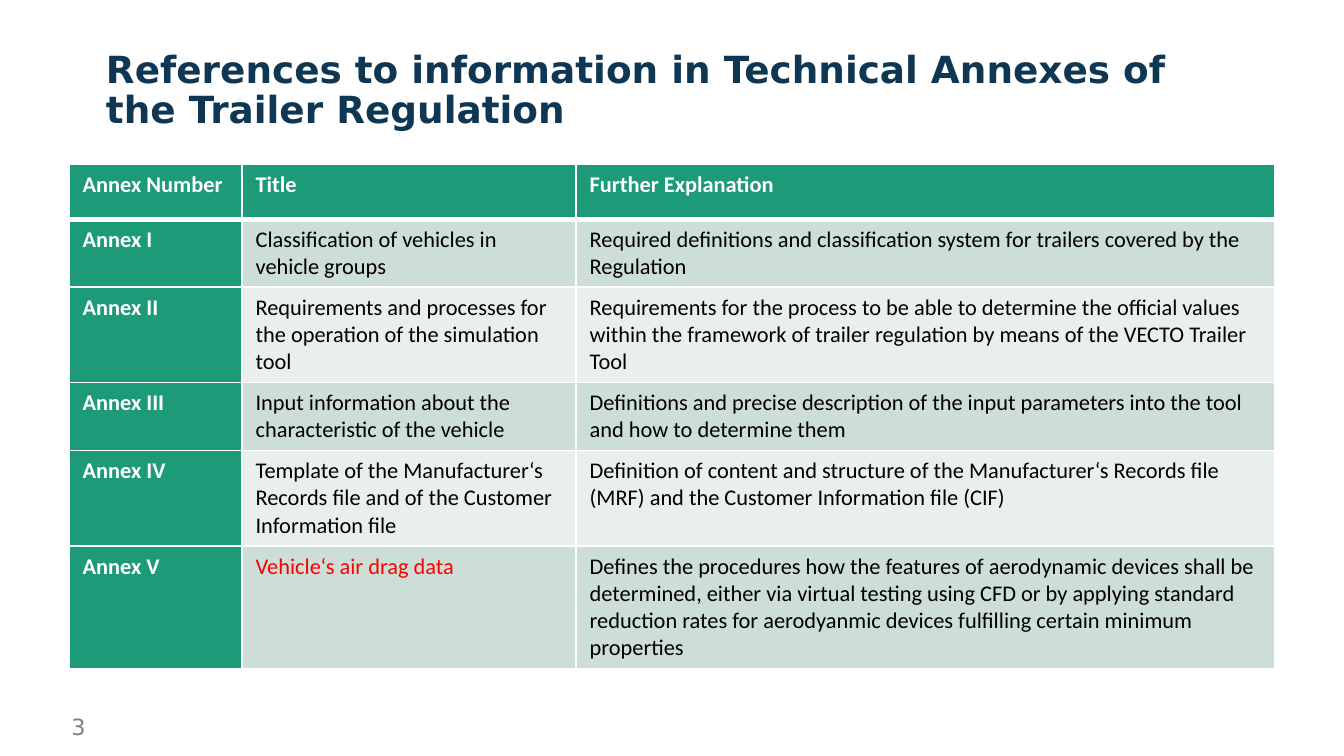
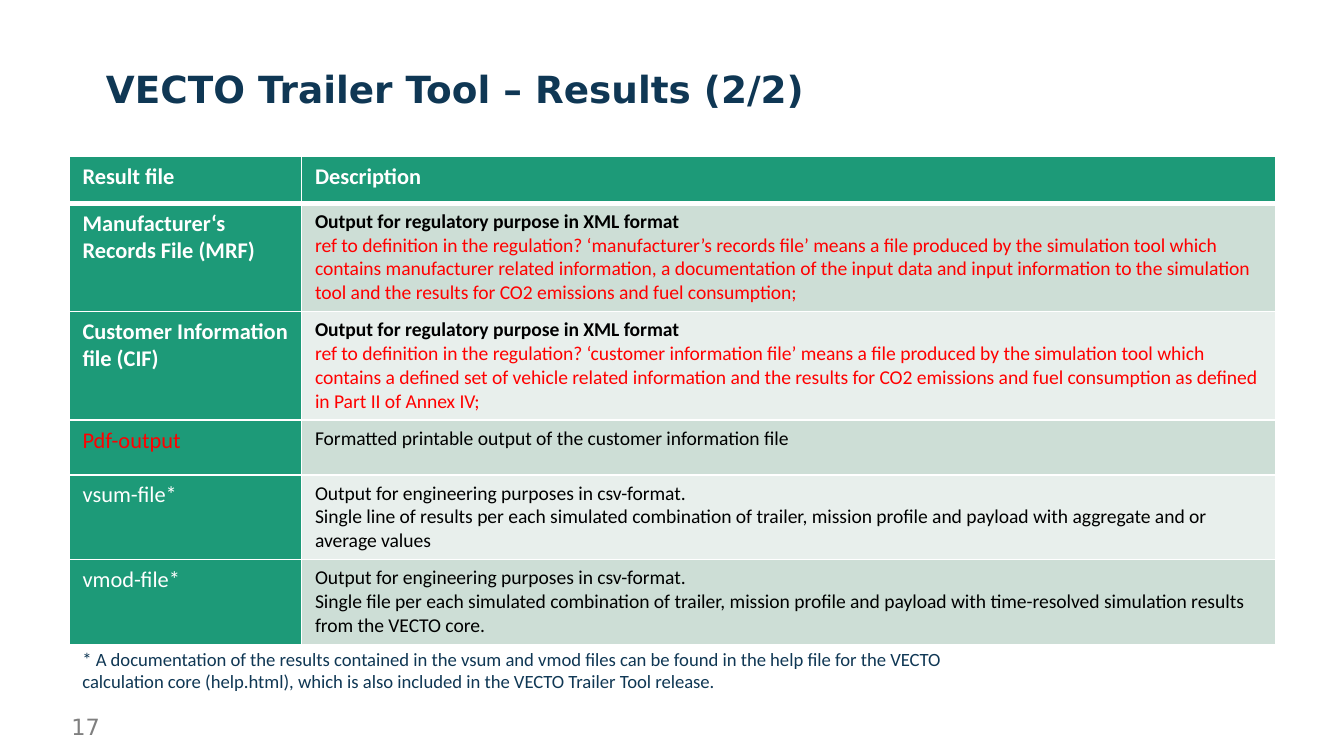
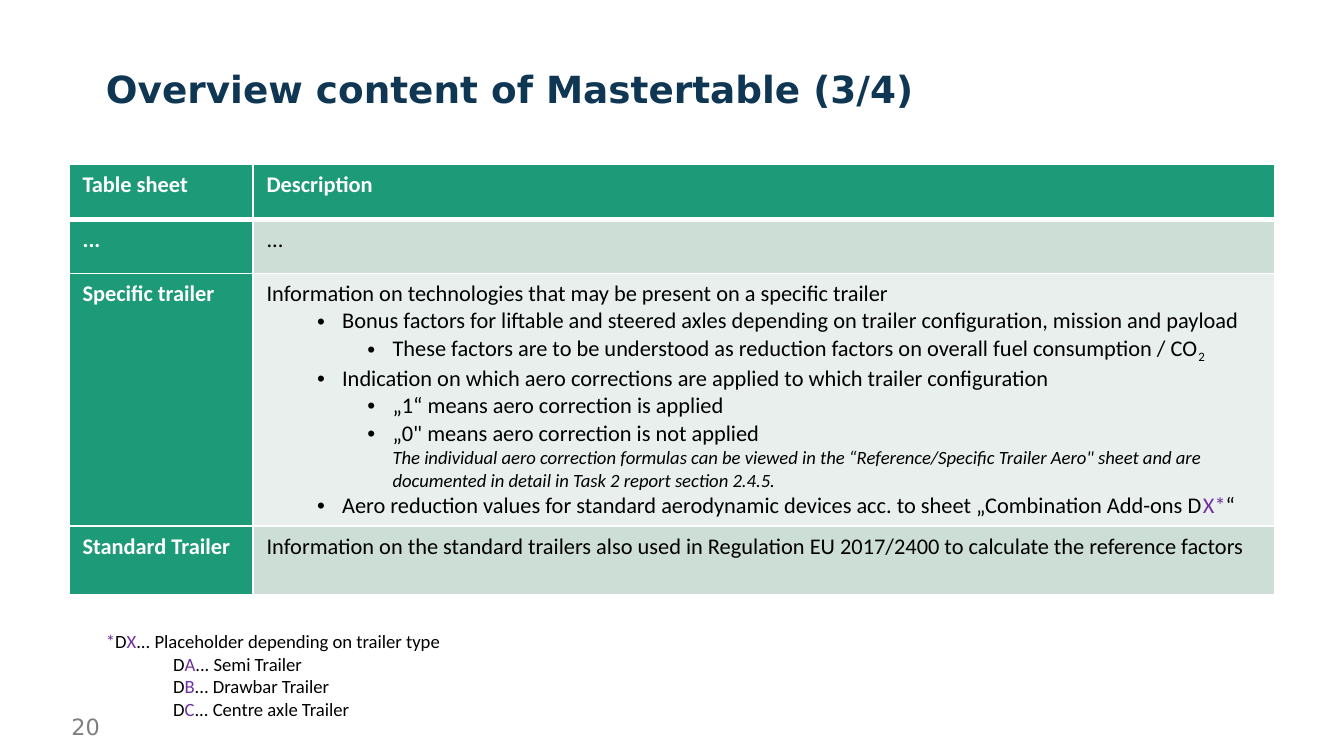
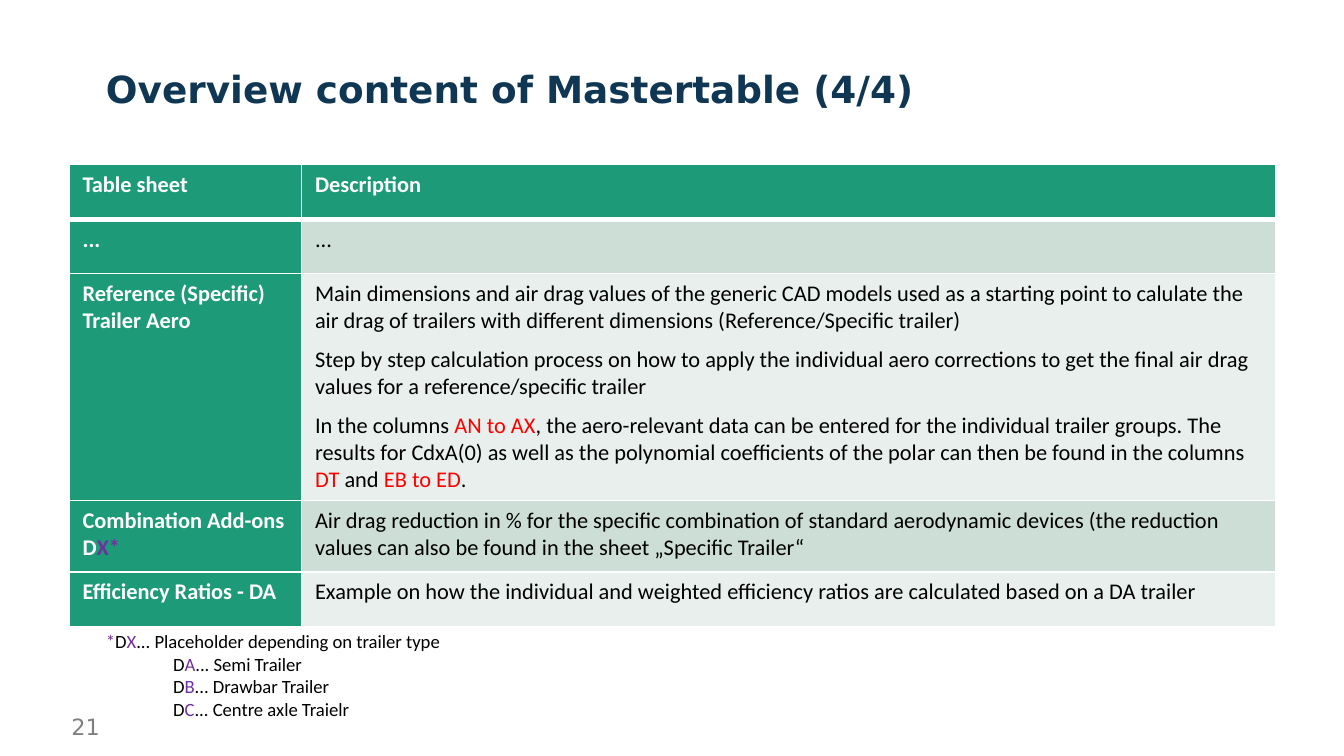
from copy import deepcopy
from collections import namedtuple
from lxml.etree import SubElement
from pptx import Presentation
from pptx.dml.color import RGBColor as Rgb
from pptx.enum.text import MSO_ANCHOR as Anchor, MSO_AUTO_SIZE as Auto
from pptx.oxml.ns import qn
from pptx.util import Emu, Inches, Pt

WIDE = Inches(10)
HIGH = Emu(WIDE * 9 // 16)
UNIT = WIDE / 100

NAVY = Rgb(0x0F, 0x37, 0x54)
GREEN = Rgb(0x1D, 0x9A, 0x78)
MINT = Rgb(0xCD, 0xDE, 0xD6)
PALE = Rgb(0xE8, 0xEF, 0xEC)
GREY = Rgb(0x7F, 0x7F, 0x7F)
RED = Rgb(0xFF, 0x00, 0x00)
PLUM = Rgb(0x70, 0x30, 0xA0)
BLACK = Rgb(0x00, 0x00, 0x00)
WHITE = Rgb(0xFF, 0xFF, 0xFF)

HEAD = "DejaVu Sans"
BODY = "Calibri"

Box = namedtuple("Box", "x y w h")
Para = namedtuple("Para", "runs level gap", defaults=(0, 0))

TITLE = Box(6.9, 1.35, 86.2, 10.9)
NUMBER = Box(4.34, 52.54, 23.3, 3)
GRID = Box(5.14, 12.24, 89.75, 0)
NOTE = Box(6.9, 46.4, 27.2, 7.7)
ROW = 4.06
TAB = 5


def grid(count):
    return Emu(int(count * UNIT))


def red(text):
    return text, {"color": RED}


def plum(text):
    return text, {"color": PLUM}


def plain(text, **form):
    return text, {"bold": False, **form}


def style(run, font=BODY, size=12, color=BLACK, bold=False, italic=False, base=0):
    face = run.font
    face.name, face.size = font, Pt(size)
    face.bold, face.italic = bold, italic
    face.color.rgb = color
    if base:
        run._r.get_or_add_rPr().set("baseline", str(base * 1000))


def indent(para, level):
    para.level = level
    props = para._p.get_or_add_pPr()
    props.set("marL", str(grid(1.87 + 3.75 * level)))
    props.set("indent", str(-grid(1.87)))
    SubElement(props, qn("a:buFont"), typeface="Arial")
    SubElement(props, qn("a:buChar"), char="•")


def add_tab(para):
    stops = SubElement(para._p.get_or_add_pPr(), qn("a:tabLst"))
    SubElement(stops, qn("a:tab"), pos=str(grid(TAB)), algn="l")


def write(frame, text, space=None, **form):
    paras = text if isinstance(text, list) else [text]
    for index, item in enumerate(paras):
        item = item if isinstance(item, Para) else Para([item])
        para = frame.paragraphs[0] if index == 0 else frame.add_paragraph()
        if item.level:
            indent(para, item.level)
        if item.gap:
            para.space_before = Pt(item.gap)
        if space:
            para.line_spacing = space
        for part in item.runs:
            words, extra = part if isinstance(part, tuple) else (part, {})
            if words.startswith("\t"):
                add_tab(para)
            for turn, line in enumerate(words.split("\n")):
                if turn:
                    para.add_line_break()
                    para._p[-1].insert(0, deepcopy(run._r.rPr))
                if line:
                    run = para.add_run()
                    run.text = line
                    style(run, **{**form, **extra})


def text_box(slide, box, text, anchor=Anchor.TOP, wrap=True, grow=False, flat=False, **form):
    frame = slide.shapes.add_textbox(*map(grid, box)).text_frame
    frame.word_wrap = wrap
    frame.vertical_anchor = anchor
    frame.auto_size = Auto.SHAPE_TO_FIT_TEXT if grow else Auto.NONE
    if flat:
        frame.margin_top = frame.margin_bottom = 0
    write(frame, text, **form)


def edge(cell, top, bottom):
    props = cell._tc.get_or_add_tcPr()
    for side, width in zip("LRTB", (1, 1, top, bottom)):
        line = SubElement(props, qn("a:ln" + side), w=str(Pt(width)))
        fill = SubElement(line, qn("a:solidFill"))
        SubElement(fill, qn("a:srgbClr"), val=str(WHITE))


def fill_cell(cell, text, row, col, size):
    edge(cell, 3 if row == 1 else 1, 3 if row == 0 else 1)
    label = row == 0 or col == 0
    cell.fill.solid()
    cell.fill.fore_color.rgb = GREEN if label else (PALE, MINT)[row % 2]
    if label:
        write(cell.text_frame, text, color=WHITE, bold=True)
    else:
        write(cell.text_frame, text, size=size)


def add_grid(slide, box, cols, rows, tall={}, size=12):
    widths = [*cols, box.w - sum(cols)]
    shape = slide.shapes.add_table(
        len(rows), len(widths), grid(box.x), grid(box.y), grid(box.w), grid(ROW * len(rows)))
    table = shape.table
    for col, width in enumerate(widths):
        table.columns[col].width = grid(width)
    for row, texts in enumerate(rows):
        table.rows[row].height = grid(tall.get(row, ROW))
        for col, text in enumerate(texts):
            fill_cell(table.cell(row, col), text, row, col, size)


def add_page(deck, title, number):
    slide = deck.slides.add_slide(deck.slide_layouts[6])
    text_box(slide, NUMBER, number, anchor=Anchor.MIDDLE, flat=True, font=HEAD, color=GREY)
    text_box(slide, TITLE, title, anchor=Anchor.MIDDLE, space=0.9,
             font=HEAD, size=20, color=NAVY, bold=True)
    return slide


def add_key(slide, last):
    kinds = zip("ABC", ("Semi Trailer", "Drawbar Trailer", last))
    lines = [Para([plum("*"), "D", plum("X"), "... Placeholder depending on trailer type"])]
    lines += [Para(["\tD", plum(mark), "... " + kind]) for mark, kind in kinds]
    text_box(slide, NOTE, lines, wrap=False, grow=True, size=10)


def annex_page(deck):
    slide = add_page(
        deck, "References to information in Technical Annexes of the Trailer Regulation", "3")
    add_grid(slide, GRID, [12.88, 24.86], [
        ("Annex Number", "Title", "Further Explanation"),
        ("Annex I", "Classification of vehicles in vehicle groups",
         "Required definitions and classification system for trailers covered by the Regulation"),
        ("Annex II", "Requirements and processes for the operation of the simulation tool",
         "Requirements for the process to be able to determine the official values within the "
         "framework of trailer regulation by means of the VECTO Trailer Tool"),
        ("Annex III", "Input information about the characteristic of the vehicle",
         "Definitions and precise description of the input parameters into the tool and how to "
         "determine them"),
        ("Annex IV",
         "Template of the Manufacturer‘s Records file and of the Customer Information file",
         "Definition of content and structure of the Manufacturer‘s Records file (MRF) and the "
         "Customer Information file (CIF)"),
        ("Annex V", red("Vehicle‘s air drag data"),
         "Defines the procedures how the features of aerodynamic devices shall be determined, "
         "either via virtual testing using CFD or by applying standard reduction rates for "
         "aerodyanmic devices fulfilling certain minimum properties"),
    ])


def result_page(deck):
    slide = add_page(deck, "VECTO Trailer Tool – Results (2/2)", "17")
    legal = "Output for regulatory purpose in XML format"
    data = "Output for engineering purposes in csv-format."
    add_grid(slide, GRID._replace(y=11.62), [17.3], [
        ("Result file", "Description"),
        ("Manufacturer‘s Records File (MRF)", Para([
            (legal + "\n", {"bold": True}),
            red("ref to definition in the regulation? ‘manufacturer’s records file’ means a file "
                "produced by the simulation tool which contains manufacturer related information, "
                "a documentation of the input data and input information to the simulation tool "
                "and the results for CO2 emissions and fuel consumption;")])),
        ("Customer Information file (CIF)", [
            (legal, {"bold": True}),
            red("ref to definition in the regulation? ‘customer information file’ means a file "
                "produced by the simulation tool which contains a defined set of vehicle related "
                "information and the results for CO2 emissions and fuel consumption as defined "
                "in Part II of Annex IV;")]),
        (plain("Pdf-output", color=RED),
         "Formatted printable output of the customer information file"),
        (plain("vsum-file*"), [
            data,
            "Single line of results per each simulated combination of trailer, mission profile "
            "and payload with aggregate and or average values"]),
        (plain("vmod-file*"), [
            data,
            "Single file per each simulated combination of trailer, mission profile and payload "
            "with time-resolved simulation results from the VECTO core."]),
    ], tall={0: 3.5}, size=10.5)
    text_box(slide, Box(GRID.x, 47.7, 70.1, 4.4),
             "* A documentation of the results contained in the vsum and vmod files can be found "
             "in the help file for the VECTO calculation core (help.html), which is also included "
             "in the VECTO Trailer Tool release.", grow=True, size=10, color=NAVY)


SHEETS = [("Table sheet", "Description"), ("...", "...")]


def trailer_page(deck):
    slide = add_page(deck, "Overview content of Mastertable (3/4)", "20")
    add_grid(slide, GRID, [13.7], SHEETS + [
        ("Specific trailer", [
            "Information on technologies that may be present on a specific trailer",
            Para(["Bonus factors for liftable and steered axles depending on trailer "
                  "configuration, mission and payload"], 1),
            Para(["These factors are to be understood as reduction factors on overall fuel "
                  "consumption / CO", ("2", {"base": -25})], 2),
            Para(["Indication on which aero corrections are applied to which trailer "
                  "configuration"], 1),
            Para(["„1“ means aero correction is applied"], 2),
            Para(["„0\" means aero correction is not applied\n",
                  ("The individual aero correction formulas can be viewed in the "
                   "“Reference/Specific Trailer Aero\" sheet and are documented in detail in "
                   "Task 2 report section 2.4.5.", {"size": 10, "italic": True})], 2),
            Para(["Aero reduction values for standard aerodynamic devices acc. to sheet "
                  "„Combination Add-ons D", plum("X*"), "“"], 1)]),
        ("Standard Trailer",
         "Information on the standard trailers also used in Regulation EU 2017/2400 to "
         "calculate the reference factors"),
    ], tall={2: 18.8, 3: 5.1})
    add_key(slide, "Centre axle Trailer")


def aero_page(deck):
    slide = add_page(deck, "Overview content of Mastertable (4/4)", "21")
    add_grid(slide, GRID, [17.3], SHEETS + [
        ("Reference (Specific) Trailer Aero", [
            "Main dimensions and air drag values of the generic CAD models used as a starting "
            "point to calulate the air drag of trailers with different dimensions "
            "(Reference/Specific trailer)",
            Para(["Step by step calculation process on how to apply the individual aero "
                  "corrections to get the final air drag values for a reference/specific "
                  "trailer"], gap=6),
            Para(["In the columns ", red("AN to AX"),
                  ", the aero-relevant data can be entered for the individual trailer groups. "
                  "The results for CdxA(0) as well as the polynomial coefficients of the polar "
                  "can then be found in the columns ",
                  red("DT"), " and ", red("EB to ED"), "."], gap=6)]),
        (Para(["Combination Add-ons D", plum("X*")]),
         "Air drag reduction in % for the specific combination of standard aerodynamic devices "
         "(the reduction values can also be found in the sheet „Specific Trailer“"),
        ("Efficiency Ratios - DA",
         "Example on how the individual and weighted efficiency ratios are calculated based on "
         "a DA trailer"),
    ], tall={2: 16.9, 3: 5.3})
    add_key(slide, "Centre axle Traielr")


def main():
    deck = Presentation()
    deck.slide_width, deck.slide_height = WIDE, HIGH
    for build in (annex_page, result_page, trailer_page, aero_page):
        build(deck)
    deck.save("out.pptx")


if __name__ == "__main__":
    main()
